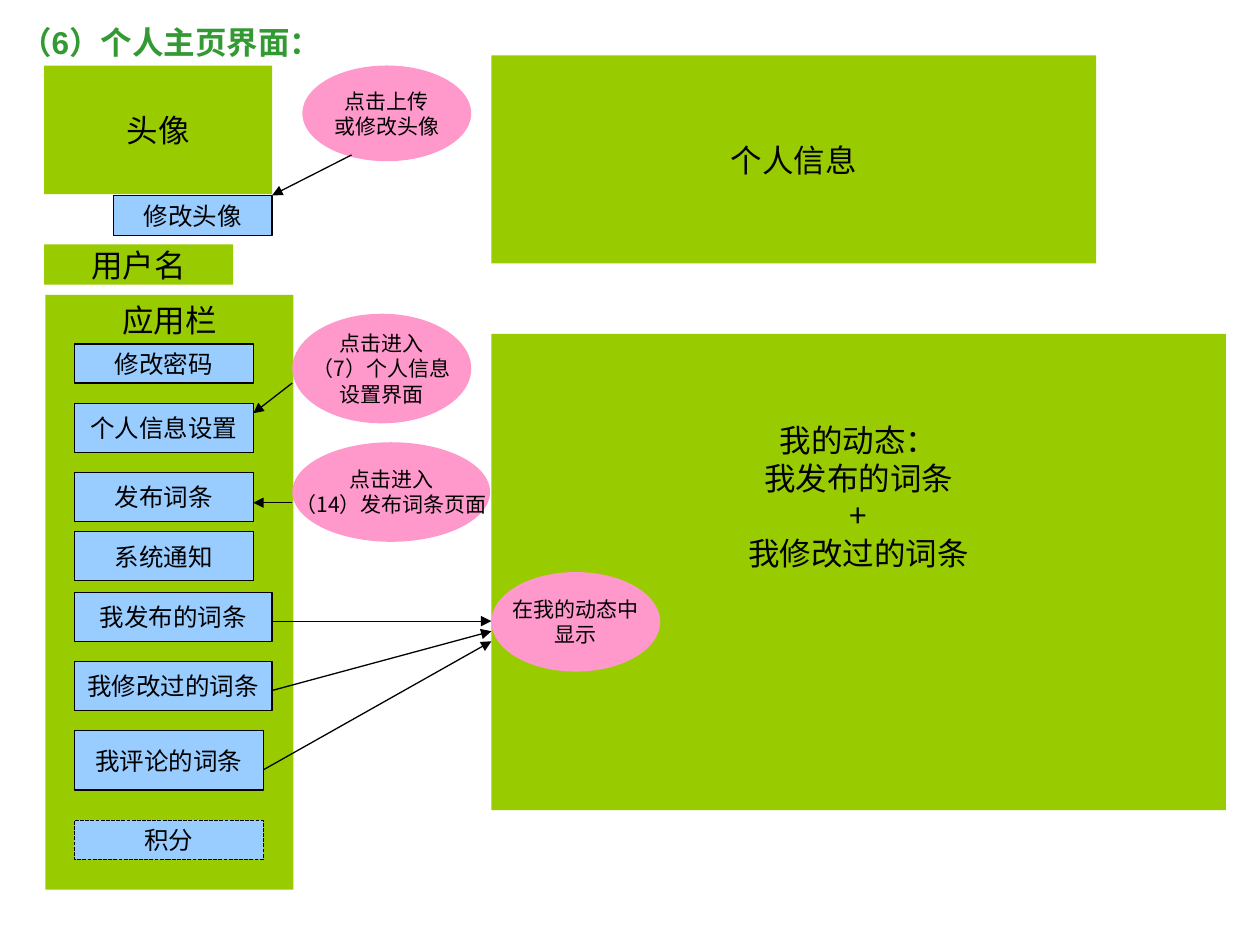
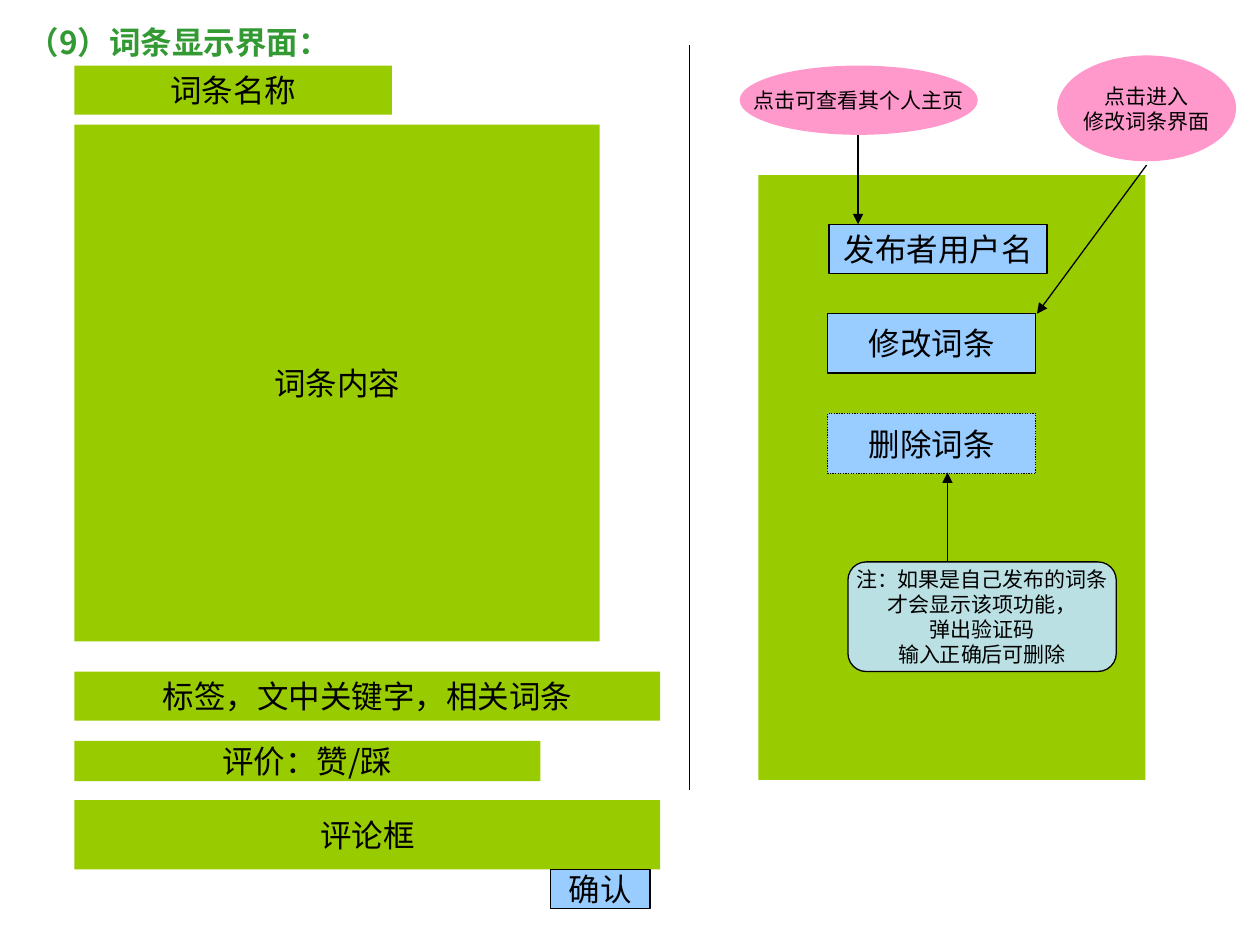
from lxml import etree
from pptx import Presentation
from pptx.dml.color import RGBColor
from pptx.enum.dml import MSO_LINE
from pptx.enum.shapes import MSO_CONNECTOR, MSO_SHAPE
from pptx.enum.text import MSO_ANCHOR, MSO_AUTO_SIZE, PP_ALIGN
from pptx.oxml.ns import qn
from pptx.util import Inches, Pt

GREEN = RGBColor(0x99, 0xCC, 0x00)
BLUE = RGBColor(0x99, 0xCC, 0xFF)
PINK = RGBColor(0xFF, 0x99, 0xCC)
TEAL = RGBColor(0xBB, 0xE0, 0xE3)
BLACK = RGBColor(0x00, 0x00, 0x00)
TITLE = RGBColor(0x33, 0x99, 0x33)
ARIAL, NOTO = "Arial", "Noto Sans CJK SC"
RECT, OVAL = MSO_SHAPE.RECTANGLE, MSO_SHAPE.OVAL

# kind: shape, fill, outlined, dash, size, font
KINDS = {
    "panel": (RECT, GREEN, False, None, 18, ARIAL),
    "field": (RECT, GREEN, False, None, 18, NOTO),
    "item": (RECT, BLUE, True, None, 14, ARIAL),
    "score": (RECT, BLUE, True, MSO_LINE.SQUARE_DOT, 14, ARIAL),
    "button": (RECT, BLUE, True, None, 18, ARIAL),
    "option": (RECT, BLUE, True, MSO_LINE.ROUND_DOT, 18, ARIAL),
    "hint": (OVAL, PINK, False, None, 12, NOTO),
    "note": (MSO_SHAPE.ROUNDED_RECTANGLE, TEAL, True, None, 12, ARIAL),
}

MENU_LEFT = 0.59
MENU = [
    ("item", "修改密码", 2.73, 1.42, 0.31),
    ("item", "个人信息设置", 3.2, 1.42, 0.39),
    ("item", "发布词条", 3.75, 1.42, 0.39),
    ("item", "系统通知", 4.22, 1.42, 0.39),
    ("item", "我发布的词条", 4.7, 1.57, 0.39),
    ("item", "我修改过的词条", 5.25, 1.57, 0.39),
    ("item", "我评论的词条", 5.8, 1.5, 0.47),
    ("score", "积分", 6.51, 1.5, 0.31),
]
ENTRY = [
    ("panel", "词条名称", 0.52, 2.52, 0.39),
    ("panel", "词条内容", 0.99, 4.17, 4.1),
    ("panel", "标签，文中关键字，相关词条", 5.33, 4.65, 0.39),
    ("field", "评价：赞/踩", 5.88, 3.7, 0.32),
    ("panel", "评论框", 6.35, 4.65, 0.55),
]


def stack(rows):
    """Place rows in the left column."""
    return [(kind, text, (MENU_LEFT, top, wide, high)) for kind, text, top, wide, high in rows]


SLIDES = [
    {
        "title": ("（6）个人主页界面：", ARIAL, (0.06, 0.13, 2.71, 0.4)),
        "parts": [
            ("panel", "头像", (0.35, 0.52, 1.81, 1.02)),
            ("panel", "用户名", (0.35, 1.94, 1.5, 0.32)),
            ("panel", "应用栏", (0.36, 2.34, 1.97, 4.72), "top"),
            ("item", "修改头像", (0.9, 1.55, 1.26, 0.32)),
            *stack(MENU),
            ("panel", "个人信息", (3.9, 0.44, 4.8, 1.65)),
            ("field", "我的动态：\n我发布的词条\n+\n我修改过的词条", (3.9, 2.65, 5.83, 3.78), "raised"),
            ("hint", "点击上传\n或修改头像", (2.4, 0.52, 1.34, 0.76)),
            ("hint", "点击进入\n（7）个人信息\n设置界面", (2.32, 2.49, 1.42, 0.87)),
            ("hint", "点击进入\n（14）发布词条页面", (2.32, 3.51, 1.57, 0.79)),
            ("hint", "在我的动态中\n显示", (3.9, 4.54, 1.34, 0.79)),
        ],
        "arrows": [
            (2.79, 1.23, 2.16, 1.55),
            (2.32, 3.04, 2.01, 3.28),
            (2.32, 3.99, 2.01, 3.99),
            (2.16, 4.93, 3.9, 4.93),
            (2.16, 5.48, 3.9, 5.01),
            (2.09, 6.11, 3.9, 5.09),
        ],
        "rules": [],
    },
    {
        "title": ("（9）词条显示界面：", NOTO, (0.12, 0.13, 2.81, 0.4)),
        "parts": [
            *stack(ENTRY),
            ("button", "确认", (4.37, 6.9, 0.79, 0.31)),
            ("panel", "", (6.02, 1.39, 3.07, 4.8)),
            ("button", "发布者用户名", (6.58, 1.78, 1.73, 0.39)),
            ("button", "修改词条", (6.57, 2.49, 1.65, 0.47)),
            ("option", "删除词条", (6.57, 3.28, 1.65, 0.48)),
            ("hint", "点击可查看其个人主页", (5.87, 0.52, 1.89, 0.55)),
            ("hint", "点击进入\n修改词条界面", (8.39, 0.44, 1.42, 0.84)),
            ("note", "注：如果是自己发布的词条\n才会显示该项功能，\n弹出验证码\n输入正确后可删除", (6.73, 4.46, 2.13, 0.87)),
        ],
        "arrows": [
            (6.81, 1.07, 6.81, 1.78),
            (9.1, 1.31, 8.23, 2.49),
            (7.52, 4.46, 7.52, 3.75),
        ],
        "rules": [(5.47, 0.36, 5.47, 6.27)],
    },
]


def write(frame, text, size, face, color, align, bold=False):
    """Fill a text frame with evenly styled lines."""
    frame.text = text
    frame.word_wrap = False
    frame.margin_left = frame.margin_right = Inches(0.1)
    frame.margin_top = frame.margin_bottom = Inches(0.05)
    for line in frame.paragraphs:
        line.alignment = align
        font = line.font
        font.size, font.name, font.bold = Pt(size), face, bold
        font.color.rgb = color


def add_title(slide, text, face, box):
    """Move and format the title placeholder."""
    title = slide.shapes.title
    title.left, title.top, title.width, title.height = map(Inches, box)
    frame = title.text_frame
    write(frame, text, 18, face, TITLE, PP_ALIGN.LEFT, True)
    frame.vertical_anchor = MSO_ANCHOR.TOP
    frame.auto_size = MSO_AUTO_SIZE.NONE


def add_part(slide, kind, text, box, place="middle"):
    """Draw one labelled block of the page sketch."""
    form, fill, edged, dash, size, face = KINDS[kind]
    part = slide.shapes.add_shape(form, *map(Inches, box))
    part.shadow.inherit = False
    part.fill.solid()
    part.fill.fore_color.rgb = fill
    if edged:
        part.line.color.rgb = BLACK
        part.line.width = Pt(0.75)
        if dash:
            part.line.dash_style = dash
    else:
        part.line.fill.background()
    if text:
        frame = part.text_frame
        write(frame, text, size, face, BLACK, PP_ALIGN.CENTER)
        frame.vertical_anchor = MSO_ANCHOR.TOP if place == "top" else MSO_ANCHOR.MIDDLE
        if place == "raised":
            frame.margin_bottom = Inches(1.25)


def add_line(slide, ends, arrow):
    """Draw a thin straight line, with an arrowhead if asked."""
    line = slide.shapes.add_connector(MSO_CONNECTOR.STRAIGHT, *map(Inches, ends))
    line.line.color.rgb = BLACK
    line.line.width = Pt(0.75)
    props = line.line._get_or_add_ln()
    if arrow:
        etree.SubElement(props, qn("a:tailEnd"), type="triangle")
    etree.SubElement(props.getparent(), qn("a:effectLst"))


def main():
    """Build both page sketches and save them."""
    deck = Presentation()
    deck.slide_width, deck.slide_height = Inches(10), Inches(7.5)
    for page in SLIDES:
        slide = deck.slides.add_slide(deck.slide_layouts[5])
        add_title(slide, *page["title"])
        for part in page["parts"]:
            add_part(slide, *part)
        for ends in page["arrows"]:
            add_line(slide, ends, True)
        for ends in page["rules"]:
            add_line(slide, ends, False)
    deck.save("out.pptx")


if __name__ == "__main__":
    main()
